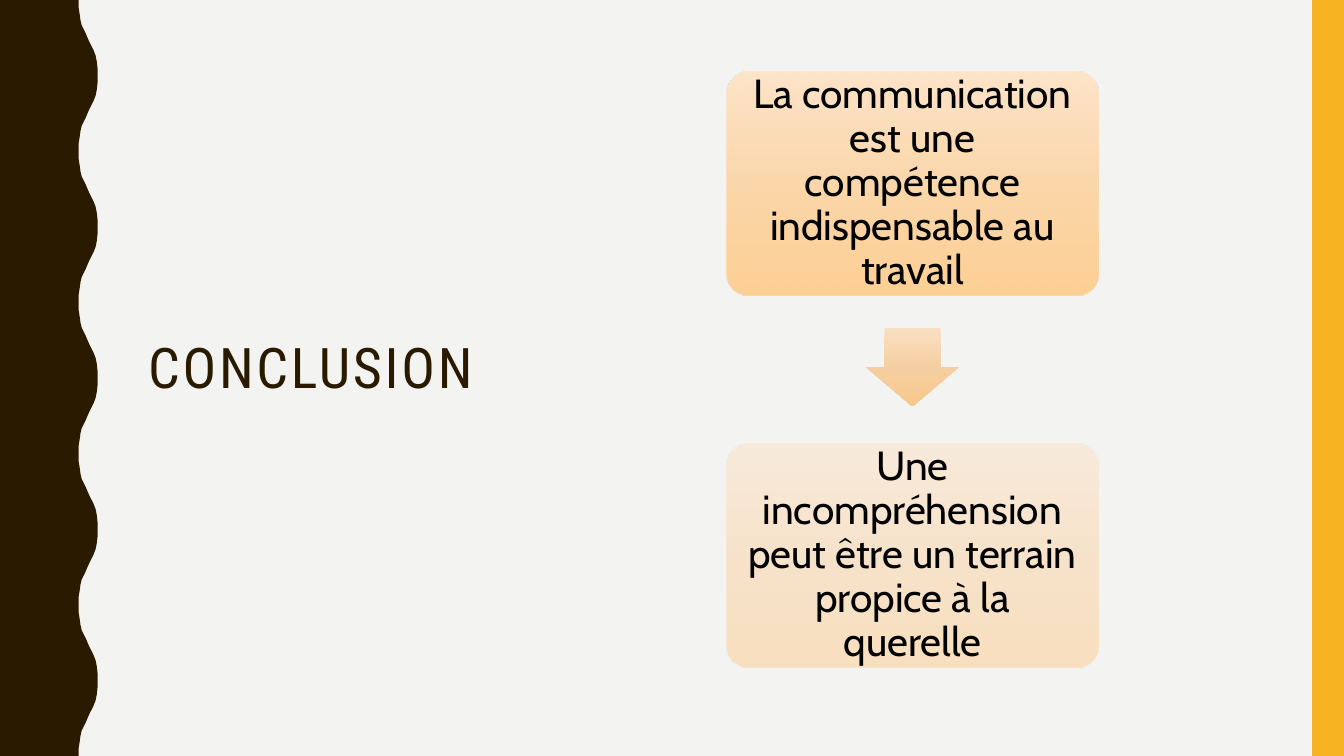
"""Build the conclusion slide: a title beside two linked statements."""
from lxml import etree
from pptx import Presentation, util as u
from pptx.dml.color import RGBColor
from pptx.enum import shapes, text
from pptx.oxml.ns import qn

Cm = u.Cm
INK = {"page": "F3F3F2", "dark": "2A1A00", "gold": "F8B323", "text": "000000"}
WARM = ["FEE3C5", "FCD4A4", "FFCD8B"]
SAND = ["F9DFC1", "F5CFA2", "F7C88A"]
WIDE, HIGH = 33.87, 19.05
WAVES = 5
STEP = HIGH / WAVES
RISE = [(1.98, 0), (1.98, 0.18), (2.01, 0.36), (2.03, 0.51), (2.06, 0.64),
        (2.11, 0.74), (2.16, 0.84), (2.21, 0.96), (2.26, 1.07), (2.31, 1.17),
        (2.36, 1.27), (2.41, 1.4), (2.44, 1.55), (2.46, 1.73), (2.46, 1.9)]


class Deck:
    """Hold the style and the current slide."""

    def __init__(self):
        self.show = Presentation()
        self.show.slide_width, self.show.slide_height = Cm(WIDE), Cm(HIGH)
        self.page = self.show.slides.add_slide(self.show.slide_layouts[5])
        self.paint(self.page.background, "page")

    def paint(self, item, ink):
        item.fill.solid()
        item.fill.fore_color.rgb = RGBColor.from_string(INK[ink])

    def plain(self, shape):
        shape.shadow.inherit = False
        shape.line.fill.background()
        return shape

    def shade(self, shape, hues, alpha):
        shape.fill.gradient()
        shape.fill.gradient_angle = 270
        stops = shape._element.spPr.find(".//" + qn("a:gsLst"))
        for old in list(stops):
            stops.remove(old)
        for rank, hue in enumerate(hues):
            stop = etree.SubElement(stops, qn("a:gs"), pos=str(rank * 50000))
            tint = etree.SubElement(stop, qn("a:srgbClr"), val=hue)
            etree.SubElement(tint, qn("a:alpha"), val=str(alpha * 1000))

    def shape(self, kind, box, *adjust):
        item = self.page.shapes.add_shape(kind, *map(Cm, box))
        for rank, value in enumerate(adjust):
            item.adjustments[rank] = value
        return self.plain(item)

    def label(self, frame, words, font, size, ink, align):
        frame.text = words
        frame.word_wrap = True
        frame.auto_size = text.MSO_AUTO_SIZE.NONE
        frame.vertical_anchor = text.MSO_ANCHOR.MIDDLE
        para = frame.paragraphs[0]
        para.alignment, para.line_spacing = align, 0.9
        para.font.name, para.font.size = font, u.Pt(size)
        para.font.color.rgb = RGBColor.from_string(INK[ink])
        return para

    def title(self, words, box):
        head = self.page.shapes.title
        head.left, head.top, head.width, head.height = map(Cm, box)
        para = self.label(head.text_frame, words, "Roboto Condensed", 40,
                          "dark", text.PP_ALIGN.LEFT)
        para.runs[0]._r.get_or_add_rPr().set("spc", "200")

    def wave(self):
        turn = RISE + [(x, STEP - y) for x, y in reversed(RISE[1:-1])]
        edge = [(x, y + STEP * n) for n in range(WAVES) for x, y in turn]
        pen = self.page.shapes.build_freeform(0, 0)
        pen.add_line_segments([(Cm(x), Cm(y)) for x, y in
                               edge + [(RISE[0][0], HIGH), (0, HIGH)]])
        self.paint(self.plain(pen.convert_to_shape()), "dark")

    def band(self, box, ink):
        self.paint(self.shape(shapes.MSO_SHAPE.RECTANGLE, box), ink)

    def card(self, words, box, alpha):
        item = self.shape(shapes.MSO_SHAPE.ROUNDED_RECTANGLE, box, 0.1)
        self.shade(item, WARM, alpha)
        frame = item.text_frame
        frame.margin_left = frame.margin_right = Cm(0.3)
        frame.margin_top = frame.margin_bottom = Cm(0.3)
        self.label(frame, words, "Cabin", 29, "text", text.PP_ALIGN.CENTER)

    def arrow(self, box):
        item = self.shape(shapes.MSO_SHAPE.DOWN_ARROW, box, 0.6, 0.5)
        self.shade(item, SAND, 100)


deck = Deck()
deck.wave()
deck.band((33.07, 0, 0.8, HIGH), "gold")
deck.title("CONCLUSION", (3.48, 1.8, 9.4, 15.06))
left, wide, high = 18.31, 9.37, 5.64
deck.card("La communication est une compétence indispensable au travail",
          (left, 1.8, wide, high), 90)
deck.arrow((left + (wide - 2.34) / 2, 8.26, 2.34, 1.98))
deck.card("Une incompréhension peut être un terrain propice à la querelle",
          (left, 11.18, wide, high), 50)
deck.show.save("out.pptx")
